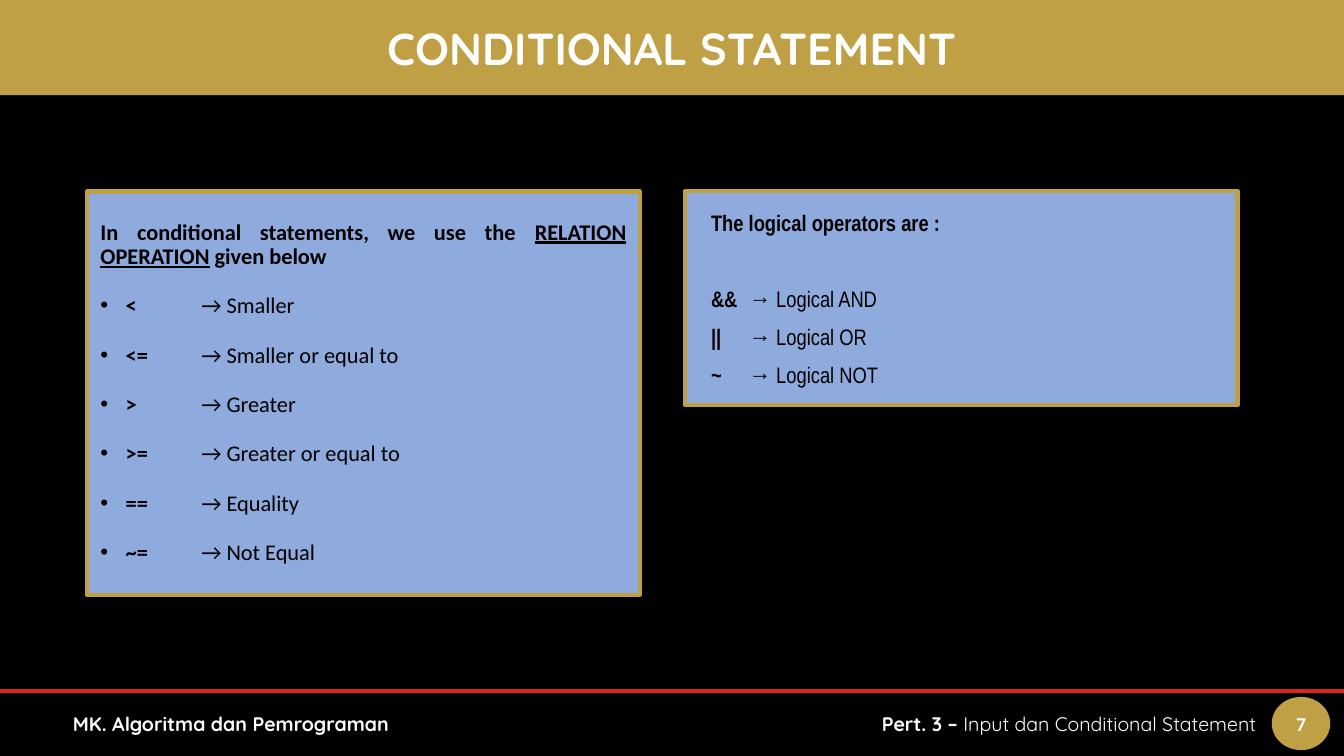
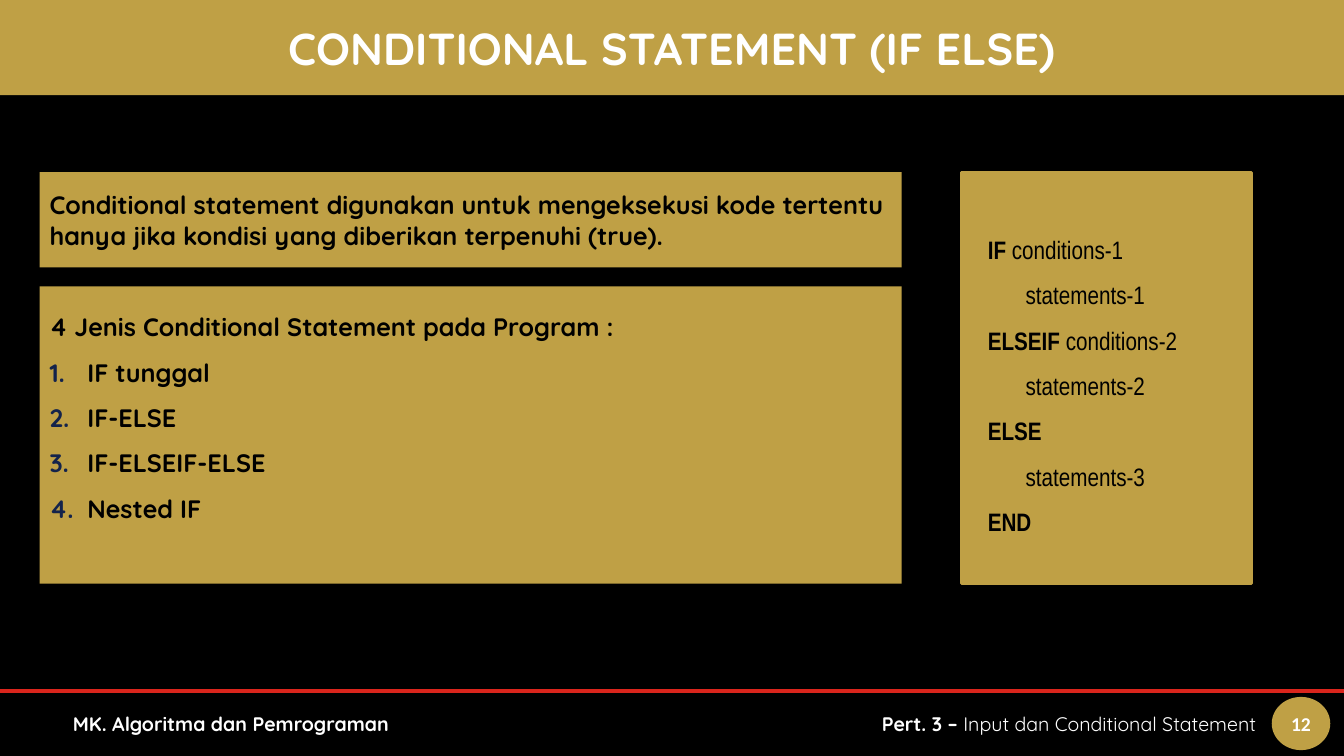
import pptx
import pptx.util
import pptx.dml.color
import pptx.enum.shapes
import pptx.enum.text
import pptx.oxml.ns
import lxml.etree

Pt = pptx.util.Pt
RGB = pptx.dml.color.RGBColor
SHAPE = pptx.enum.shapes.MSO_SHAPE
ALIGN = pptx.enum.text.PP_ALIGN
ANCHOR = pptx.enum.text.MSO_ANCHOR
qn = pptx.oxml.ns.qn

BLACK = RGB(0x00, 0x00, 0x00)
WHITE = RGB(0xFF, 0xFF, 0xFF)
GOLD = RGB(0xBF, 0xA0, 0x45)
BLUE = RGB(0x8F, 0xAA, 0xDC)
RED = RGB(0xDA, 0x25, 0x1C)
NAVY = RGB(0x13, 0x23, 0x4B)

WIDE, HIGH = 960, 540
EDGE = 28.3    # left edge of the title and the panels of the second slide
FOOT = 497.8   # top of the footer
ROW = 38       # height of the footer and title boxes


def panel(slide, left, top, width, height, fill=None, line=None, thick=3,
          inset=7.2, anchor=ANCHOR.MIDDLE, kind=SHAPE.RECTANGLE):
    """Add a box and return its text frame; without a fill it is a text box."""
    at = [Pt(n) for n in (left, top, width, height)]
    if fill is None:
        box = slide.shapes.add_textbox(*at)
    else:
        box = slide.shapes.add_shape(kind, *at)
        box.shadow.inherit = False
        box.fill.solid()
        box.fill.fore_color.rgb = fill
        if line is None:
            box.line.fill.background()
        else:
            box.line.color.rgb = line
            box.line.width = Pt(thick)
    frame = box.text_frame
    frame.word_wrap = True
    frame.vertical_anchor = anchor
    frame.margin_left = frame.margin_right = Pt(inset)
    frame.margin_top = frame.margin_bottom = Pt(inset)
    return frame


def write(frame, *runs, font="Quicksand", size=14, color=BLACK, align=ALIGN.LEFT,
          space=None, before=0, after=0, left=0, hang=0, bullet=None, tab=None):
    """Add a paragraph of (text, style) runs; style holds b for bold, u for underline."""
    para = frame.paragraphs[0]
    if para.runs:
        para = frame.add_paragraph()
        para.space_before = Pt(before)
    para.alignment = align
    para.space_after = Pt(after)
    if space:
        para.line_spacing = space
    props = para._p.get_or_add_pPr()
    props.set("marL", str(Pt(left)))
    props.set("indent", str(Pt(-hang)))
    if bullet == "1.":
        tint = lxml.etree.SubElement(props, qn("a:buClr"))
        lxml.etree.SubElement(tint, qn("a:srgbClr"), val=str(NAVY))
        lxml.etree.SubElement(props, qn("a:buFont"), typeface=font)
        lxml.etree.SubElement(props, qn("a:buAutoNum"), type="arabicPeriod")
    elif bullet:
        lxml.etree.SubElement(props, qn("a:buFont"), typeface="Arial")
        lxml.etree.SubElement(props, qn("a:buChar"), char=bullet)
    if tab:
        stops = lxml.etree.SubElement(props, qn("a:tabLst"))
        lxml.etree.SubElement(stops, qn("a:tab"), pos=str(Pt(tab)), algn="l")
    for text, style in runs:
        run = para.add_run()
        run.text = text
        run.font.name = font
        run.font.size = Pt(size)
        run.font.color.rgb = color
        run.font.bold = "b" in style
        run.font.underline = "u" in style


deck = pptx.Presentation()
deck.slide_width, deck.slide_height = Pt(WIDE), Pt(HIGH)
back = deck.slide_master.background.fill
back.solid()
back.fore_color.rgb = BLACK

# Shared frame: title band, footer line, footer texts, page number
pages = []
for title, page in (("CONDITIONAL STATEMENT", "7"),
                    ("CONDITIONAL STATEMENT (IF ELSE)", "12")):
    slide = deck.slides.add_slide(deck.slide_layouts[6])
    pages.append(slide)
    panel(slide, 0, 0, WIDE, 68, fill=GOLD)
    rule = slide.shapes.add_connector(
        pptx.enum.shapes.MSO_CONNECTOR.STRAIGHT, 0, Pt(493.5), Pt(WIDE), Pt(493.5))
    rule.line.color.rgb = RED
    rule.line.width = Pt(3)
    lxml.etree.SubElement(rule._element.spPr, qn("a:effectLst"))
    write(panel(slide, EDGE, 15.3, WIDE - 2 * EDGE, ROW), (title, "b"),
          size=32, color=WHITE, align=ALIGN.CENTER)
    write(panel(slide, 45, FOOT, 381, ROW),
          ("MK. Algoritma dan Pemrograman", "b"), color=WHITE)
    write(panel(slide, 469, FOOT, 435.6, ROW), ("Pert. 3 – ", "b"),
          ("Input dan Conditional Statement", ""), color=WHITE, align=ALIGN.RIGHT)
    disc = panel(slide, 908.4, FOOT, 41.8, ROW, fill=GOLD, inset=0, kind=SHAPE.OVAL)
    write(disc, (page, "b"), font="Calibri", color=WHITE, align=ALIGN.CENTER)

first, second = pages

# Relational operators
card = panel(first, 62.2, 136.8, 394.8, 288, fill=BLUE, line=GOLD, inset=9.6)
look = dict(font="Calibri", size=16, align=ALIGN.JUSTIFY, space=0.9, before=10, after=8)
write(card, ("In conditional statements, we use the ", "b"),
      ("RELATION OPERATION", "bu"), (" given below", "b"), **look)
for sign, name in (("<", "Smaller"), ("<=", "Smaller or equal to"),
                   (">", "Greater"), (">=", "Greater or equal to"),
                   ("==", "Equality"), ("~=", "Not Equal")):
    write(card, (sign, "b"), ("\t→ " + name, ""),
          left=18, hang=18, bullet="•", tab=72, **look)

# Logical operators
card = panel(first, 489.3, 136.6, 394.6, 152.8, fill=BLUE, line=GOLD, inset=9.6)
look = dict(font="Arial Narrow", size=16, align=ALIGN.JUSTIFY, after=8, left=36, hang=27)
write(card, ("The logical operators are :", "b"), **look)
for sign, name, gap in (("&&", "AND", 27), ("||", "OR", 0), ("~", "NOT", 0)):
    write(card, (sign, "b"), ("\t→ Logical " + name, ""), before=gap, **look)

# Syntax of the full statement
card = panel(second, 687, 123.2, 207.2, 293.6, fill=GOLD, line=GOLD, thick=2.25, inset=9.6)
for word, rest in (("IF", " conditions-1"), ("", "\tstatements-1"),
                   ("ELSEIF", " conditions-2"), ("", "\tstatements-2"),
                   ("ELSE", ""), ("", "\tstatements-3"), ("END", "")):
    runs = [run for run in ((word, "b"), (rest, "")) if run[0]]
    write(card, *runs, font="Arial Narrow", size=18, align=ALIGN.JUSTIFY,
          space=1.5, left=36, hang=27)

# Kinds of conditional statement
card = panel(second, EDGE, 204.5, 615.7, 212.4, fill=GOLD, anchor=ANCHOR.TOP)
write(card, ("4 Jenis Conditional Statement pada Program :", "b"), size=18, space=1.5)
for name in ("IF tunggal", "IF-ELSE", "IF-ELSEIF-ELSE", "Nested IF"):
    write(card, (name, "b"), size=18, space=1.5, left=27, hang=27, bullet="1.")

# Definition
card = panel(second, EDGE, 123, 615.7, 68, fill=GOLD)
write(card, ("Conditional statement digunakan untuk mengeksekusi kode tertentu "
             "hanya jika kondisi yang diberikan terpenuhi (true).", "b"), size=18)

deck.save("out.pptx")
